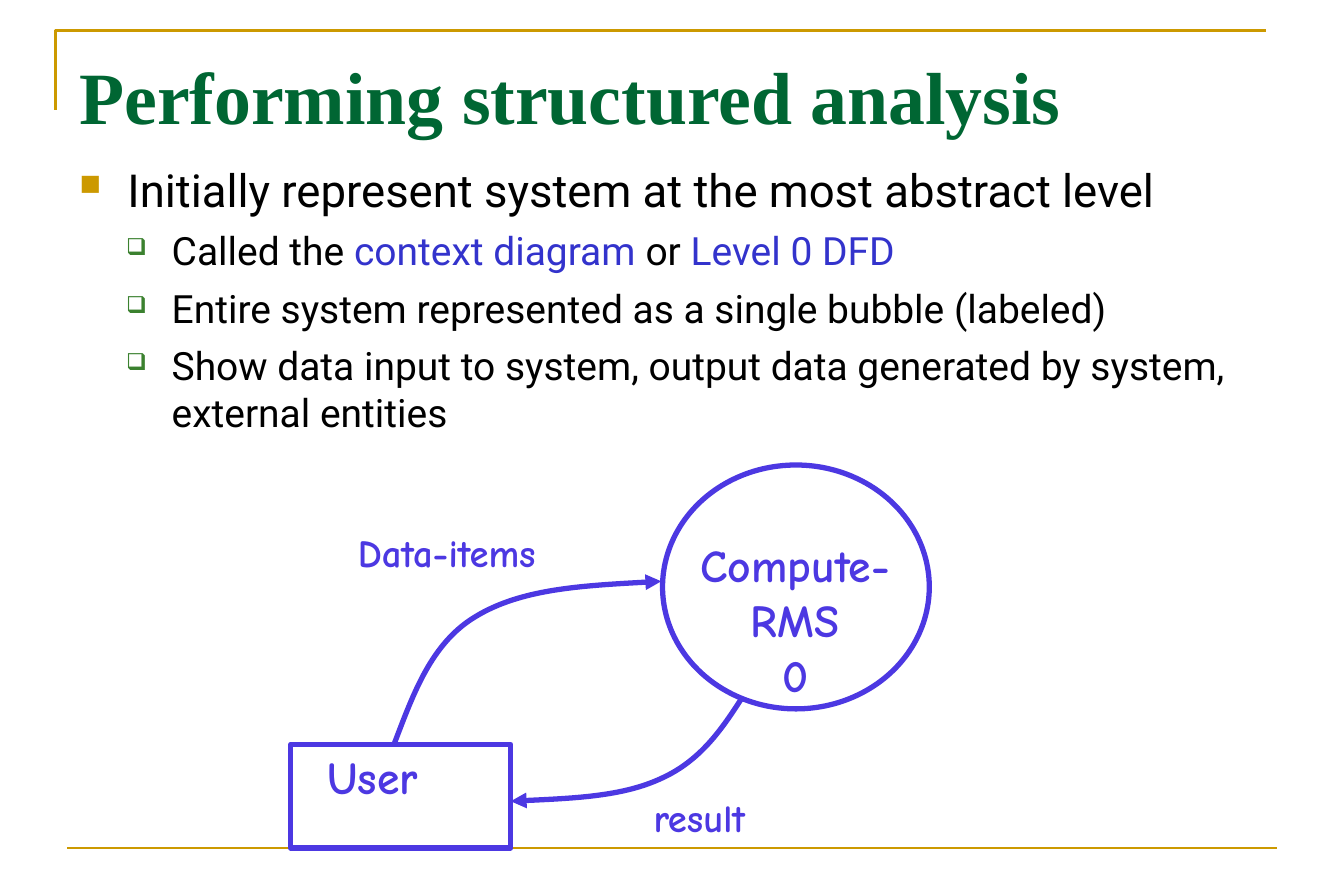
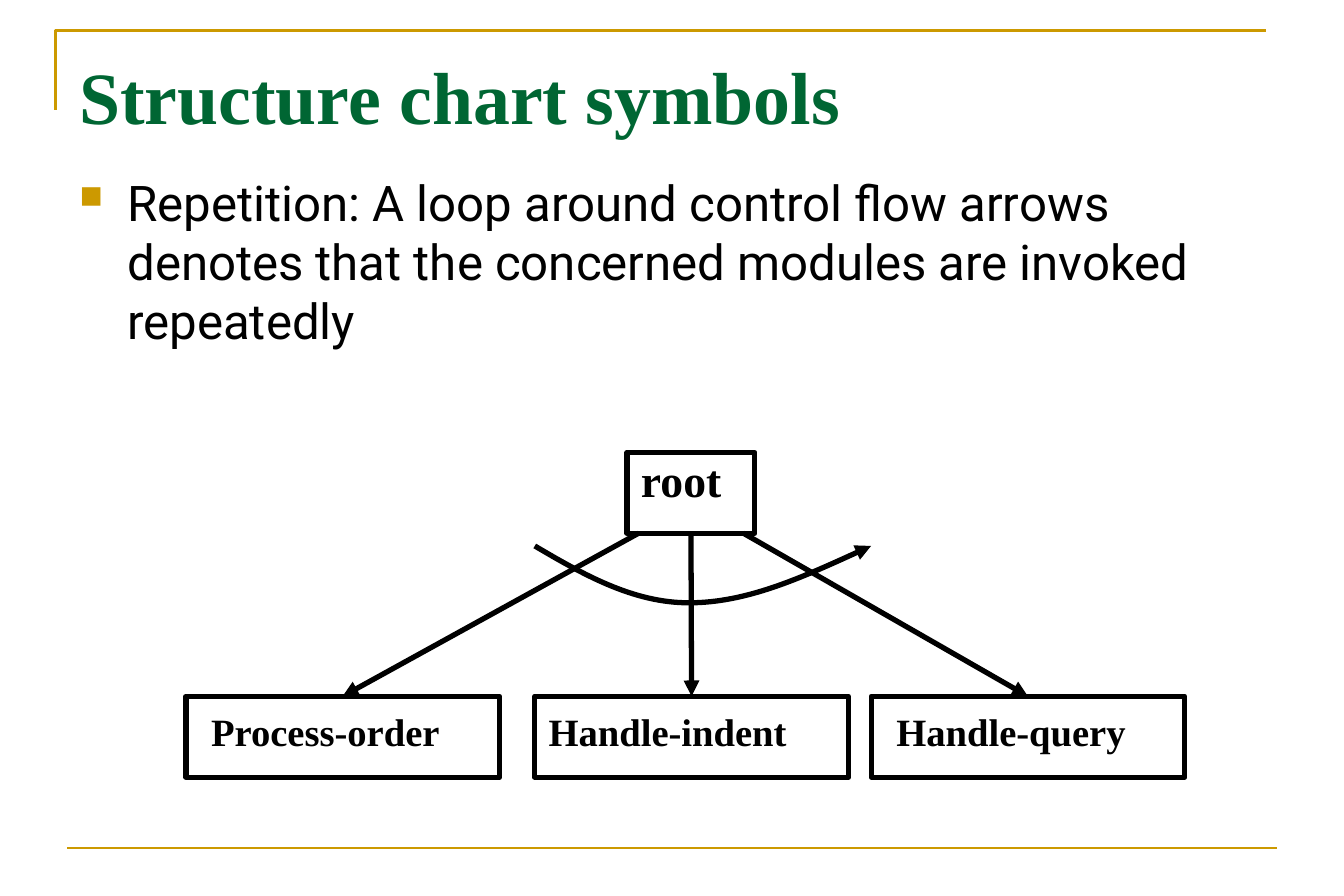
from lxml.etree import SubElement
from pptx import Presentation
from pptx.dml.color import RGBColor as RGB
from pptx.enum.shapes import MSO_CONNECTOR as Line, MSO_SHAPE as Form
from pptx.enum.text import MSO_ANCHOR as Anchor, PP_ALIGN as Align
from pptx.oxml.ns import qn
from pptx.util import Inches, Pt

THEME = {
    "gold": "CC9900", "green": "006633", "leaf": "3B812F", "blue": "3333CC",
    "violet": "4C38E2", "black": "000000", "thin": 1.5, "thick": 3,
    "title": {"size": 42, "name": "Times New Roman", "bold": True},
    "lead": {"size": 25.9, "name": "Roboto"},
    "sub": {"size": 22.2, "name": "Roboto"},
    "large": {"size": 28, "name": "Roboto"},
    "node": {"size": 26, "name": "Comic Neue", "bold": True},
    "flow": {"size": 22, "name": "Comic Neue", "bold": True},
    "root": {"size": 26, "name": "Times New Roman", "bold": True},
    "leafbox": {"size": 22, "name": "Times New Roman", "bold": True},
}
# Bullet levels: left margin, hanging indent, space before, sign, colour, percent
LEVELS = [(0.38, 0.38, 7, "■", "gold", 65), (0.73, 0.36, 6, "❑", "leaf", 60)]
PAD = (0.02, 0.06, 0.02, 0.06)


def write(frame, lines, pad, spacing=None, align=Align.LEFT):
    """Fill a frame with lines of (style, colour-text runs, bullet level)."""
    frame.word_wrap = True
    frame.vertical_anchor = Anchor.TOP
    for side, gap in zip(("left", "top", "right", "bottom"), pad):
        setattr(frame, f"margin_{side}", Inches(gap))
    for num, (style, runs, level) in enumerate(lines):
        para = frame.add_paragraph() if num else frame.paragraphs[0]
        para.alignment = align
        if spacing:
            para.line_spacing = spacing
        if level is not None:
            left, hang, gap, sign, tint, size = LEVELS[level]
            para.level = level
            props = para._p.get_or_add_pPr()
            props.set("marL", str(Inches(left)))
            props.set("indent", str(-Inches(hang)))
            SubElement(SubElement(props, qn("a:buClr")), qn("a:srgbClr"), val=THEME[tint])
            SubElement(props, qn("a:buSzPct"), val=str(size * 1000))
            SubElement(props, qn("a:buChar"), char=sign)
            if num:
                para.space_before = Pt(gap)
        for tint, text in runs:
            for part, piece in enumerate(text.split("\n")):
                if part:
                    para.add_line_break()
                run = para.add_run()
                run.text = piece
                for key, value in THEME[style].items():
                    setattr(run.font, key, Pt(value) if key == "size" else value)
                run.font.color.rgb = RGB.from_string(THEME[tint])


def stroke(shape, tint, width="thick", arrow=False):
    """Give a shape or connector a plain outline, without fill or shadow."""
    if hasattr(shape, "fill"):
        shape.fill.background()
    shape.line.color.rgb = RGB.from_string(THEME[tint])
    shape.line.width = Pt(THEME[width])
    if arrow:
        SubElement(shape.line._get_or_add_ln(), qn("a:tailEnd"), type="triangle")
    SubElement(shape._element.spPr, qn("a:effectLst"))
    return shape


# Content of the two slides
PAGES = [
    {
        "title": "Performing structured analysis",
        "body": (1.21, 2.42, [
            ("lead", [("black", "Initially represent system at the most abstract level")], 0),
            ("sub", [("black", "Called the "), ("blue", "context diagram "),
                     ("black", "or "), ("blue", "Level 0 DFD")], 1),
            ("sub", [("black", "Entire system represented as a single bubble (labeled)")], 1),
            ("sub", [("black", "Show data input to system, output data generated by system, "
                      "external entities")], 1),
        ]),
        "tint": "violet", "spacing": 0.72,
        # Boxes: text, style, place, left and top padding
        "boxes": [("User", "node", (2.3, 5.89, 1.74, 0.82), 0.29, 0.15)],
        "curves": [
            [(3.12, 5.88), (3.27, 5.49), (3.41, 5.09), (3.76, 4.88),
             (4.12, 4.66), (4.67, 4.63), (5.23, 4.6)],
            [(5.87, 5.52), (5.71, 5.77), (5.54, 6.02), (5.23, 6.16),
             (4.93, 6.3), (4.48, 6.32), (4.04, 6.34)],
        ],
    },
    {
        "title": "Structure chart symbols",
        "body": (1.29, 2.5, [
            ("large", [("black", "Repetition: A loop around control flow arrows denotes that "
                        "the concerned modules are invoked repeatedly")], 0),
        ]),
        "tint": "black", "spacing": 0.85,
        "boxes": [("root", "root", (4.96, 3.58, 1.01, 0.64), 0.11, 0.06)] + [
            (text, "leafbox", (left, 5.51, 2.48, 0.64), pad, 0.15)
            for text, left, pad in (("Process-order", 1.47, 0.2),
                                    ("Handle-indent", 4.23, 0.11),
                                    ("Handle-query", 6.89, 0.2))],
        "curves": [[(4.23, 4.32), (4.62, 4.55), (5.01, 4.77), (5.45, 4.77),
                    (5.9, 4.77), (6.39, 4.55), (6.89, 4.32)]],
    },
]

deck = Presentation()
deck.slide_width, deck.slide_height = Inches(10.63), Inches(7.09)
slides, nodes = [], []

for page in PAGES:
    slide = deck.slides.add_slide(deck.slide_layouts[6])
    shapes = slide.shapes
    slides.append(slide)

    # Gold corner and foot rule
    pen = shapes.build_freeform(Inches(0.44), Inches(0.87), scale=1.0)
    pen.add_line_segments([(Inches(0.44), Inches(0.24)), (Inches(10.01), Inches(0.24))],
                          close=False)
    stroke(pen.convert_to_shape(), "gold", "thin")
    rule = shapes.add_connector(Line.STRAIGHT, Inches(0.53), Inches(6.71),
                                Inches(10.1), Inches(6.71))
    stroke(rule, "gold", "thin")

    # Title and bullets
    top, high, lines = page["body"]
    heading = [("title", [("green", page["title"])], None)]
    for y, height, text, inset in ((0.29, 0.67, heading, 0.11), (top, high, lines, 0.07)):
        box = shapes.add_textbox(Inches(0.53), Inches(y), Inches(9.57), Inches(height))
        write(box.text_frame, text, (0.1, inset, 0.1, 0.05))

    # Boxes with their names
    made = []
    for text, style, place, left, top in page["boxes"]:
        box = shapes.add_shape(Form.ROUNDED_RECTANGLE, *map(Inches, place))
        box.adjustments[0] = 0
        stroke(box, page["tint"])
        write(box.text_frame, [(style, [(page["tint"], text)], None)],
              (left, top, 0.02, 0.06), page["spacing"])
        made.append(box)
    nodes.append(made)

    # Curved arrows: every three points after the start make one Bezier piece
    for points in page["curves"]:
        start, *rest = [(Inches(x), Inches(y)) for x, y in points]
        pen = shapes.build_freeform(*start, scale=1.0)
        pen.add_line_segments(rest, close=False)
        curve = stroke(pen.convert_to_shape(), page["tint"], arrow=True)
        track = curve._element.find(".//" + qn("a:path"))
        steps = track.findall(qn("a:lnTo"))
        for i in range(0, len(steps), 3):
            bend = SubElement(track, qn("a:cubicBezTo"))
            for step in steps[i:i + 3]:
                bend.append(step[0])
                track.remove(step)

# Context diagram: bubble and labels
shapes = slides[0].shapes
stroke(shapes.add_shape(Form.OVAL, *map(Inches, (5.24, 3.68, 2.11, 1.93))), "violet")
for text, style, place, spacing, align in (
        ("Compute- RMS\n0", "node", (5.42, 4.19, 1.74, 1.43), None, Align.CENTER),
        ("Data-items", "flow", (2.81, 4.22, 1.95, 0.41), 0.72, Align.LEFT),
        ("result", "flow", (5.15, 6.32, 1.1, 0.47), 0.72, Align.LEFT)):
    box = shapes.add_textbox(*map(Inches, place))
    write(box.text_frame, [(style, [("violet", text)], None)], PAD, spacing, align)

# Structure chart: arrows from root to the modules
root, *leaves = nodes[1]
for x, leaf in zip((5.05, 5.47, 5.88), leaves):
    link = slides[1].shapes.add_connector(Line.STRAIGHT, Inches(x), Inches(4.22),
                                          leaf.left + leaf.width // 2, leaf.top)
    if leaf is leaves[1]:
        link.begin_connect(root, 2)
    link.end_connect(leaf, 0)
    stroke(link, "black", arrow=True)

deck.save("out.pptx")
